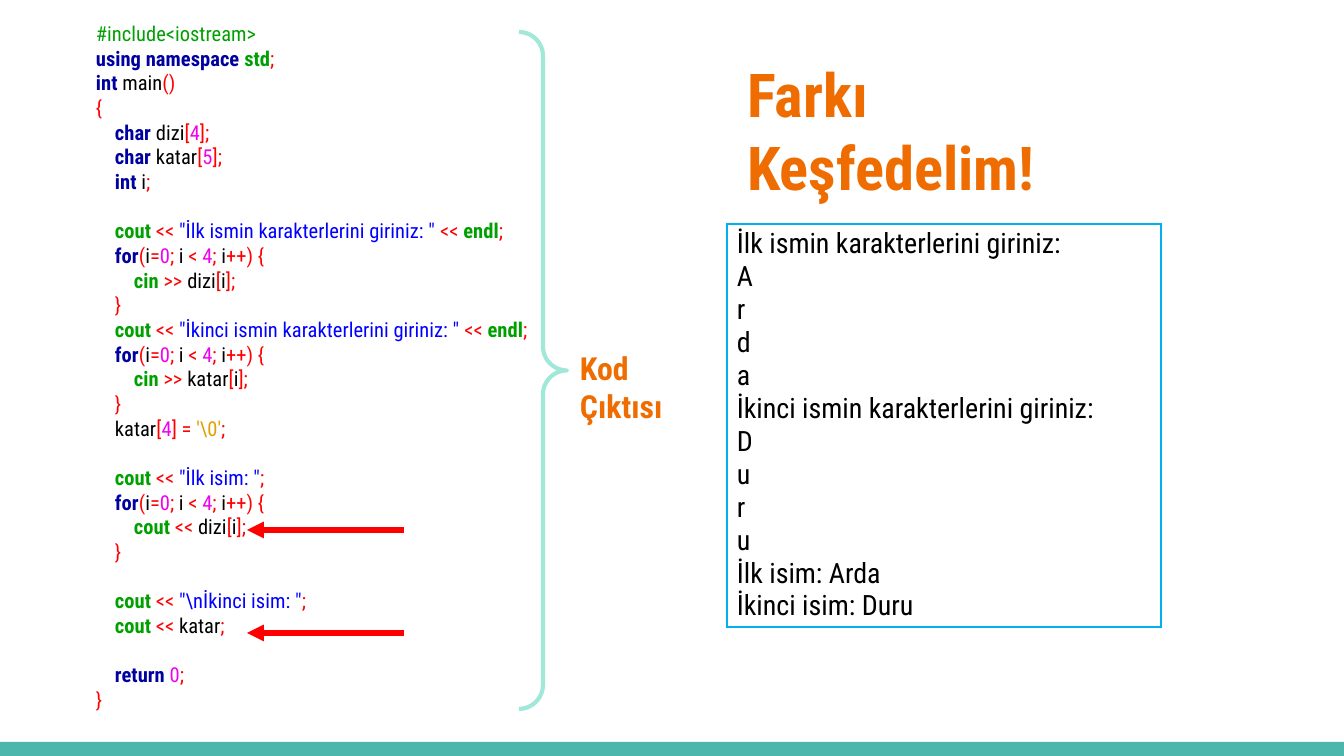
from lxml.etree import SubElement
from pptx import Presentation
from pptx.dml.color import RGBColor
from pptx.enum.shapes import MSO_CONNECTOR as Connector, MSO_SHAPE as Shape
from pptx.enum.text import MSO_ANCHOR as Anchor, MSO_AUTO_SIZE as AutoSize, PP_ALIGN as Align
from pptx.oxml import parse_xml
from pptx.oxml.ns import nsdecls, qn
from pptx.util import Pt

PX = 9144000 / 1344  # EMU per px

THEME = {
    "font": "Roboto Condensed",
    "title_size": 32.4, "label_size": 17, "output_size": 15, "code_size": 11,
    "blank_line": 13.2,
    "orange": "EF6C00", "teal": "4DB6AC", "mint": "A1E8D9",
    "red": "FF0000", "border": "00B0F0", "black": "000000",
}
# Syntax styles: colour, bold
SYNTAX = {
    "K": ("0000A0", True),    # keyword
    "L": ("00A000", True),    # library name
    "D": ("00A000", False),   # directive
    "P": ("FF0000", False),   # punctuation
    "V": ("000000", False),   # variable
    "N": ("F000F0", False),   # number
    "S": ("0000FF", False),   # string
    "C": ("E0A000", False),   # character
}


def px(*lengths):
    return [round(length * PX) for length in lengths]


def add_run(para, text, size, color, bold=False):
    span = para.add_run()
    span.text = text
    span.font.name = THEME["font"]
    span.font.size = Pt(size)
    span.font.bold = bold
    span.font.color.rgb = RGBColor.from_string(color)


deck = Presentation()
deck.slide_width, deck.slide_height = px(1344, 756)
page = deck.slides.add_slide(deck.slide_layouts[5])

# Bottom band
band = page.shapes.add_shape(Shape.RECTANGLE, *px(0, 742, 1344, 14))
band.shadow.inherit = False
band.fill.solid()
band.fill.fore_color.rgb = RGBColor.from_string(THEME["teal"])
band.line.fill.background()

# Title, code and label boxes
title = page.shapes.title
title.left, title.top, title.width, title.height = px(734, 44, 420, 104)
code_box = page.shapes.add_textbox(*px(83, 8, 554, 724))
label = page.shapes.add_textbox(*px(567, 336, 160, 70))
for box in (title, code_box, label):
    frame = box.text_frame
    frame.word_wrap = True
    frame.auto_size = AutoSize.NONE
    frame.vertical_anchor = Anchor.TOP
    (frame.margin_left, frame.margin_top,
     frame.margin_right, frame.margin_bottom) = px(13, 13, 13, 13)
    frame.paragraphs[0].alignment = Align.LEFT
add_run(title.text_frame.paragraphs[0], "Farkı Keşfedelim!",
        THEME["title_size"], THEME["orange"], True)
add_run(label.text_frame.paragraphs[0], "Kod Çıktısı",
        THEME["label_size"], THEME["orange"], True)

# Code lines: indent level, blank lines above, runs as "style:text" split by |
FOR_LINE = (1, 0, "K:for|P:(|V:i|P:=|N:0|P:; |V:i |P:< |N:4|P:; |V:i|P:++) {")
CLOSE_LINE = (1, 0, "P:}")
code_lines = [
    (0, 0, "D:#include<iostream>"),
    (0, 0, "K:using namespace |L:std|P:;"),
    (0, 0, "K:int |V:main|P:()"),
    (0, 0, "P:{"),
    (1, 0, "K:char |V:dizi|P:[|N:4|P:];"),
    (1, 0, "K:char |V:katar|P:[|N:5|P:];"),
    (1, 0, "K:int |V:i|P:;"),
    (1, 1, 'L:cout |P:<< |S:"İlk ismin karakterlerini giriniz: " |P:<< |L:endl|P:;'),
    FOR_LINE,
    (2, 0, "L:cin |P:>> |V:dizi|P:[|V:i|P:];"),
    CLOSE_LINE,
    (1, 0, 'L:cout |P:<< |S:"İkinci ismin karakterlerini giriniz: " |P:<< |L:endl|P:;'),
    FOR_LINE,
    (2, 0, "L:cin |P:>> |V:katar|P:[|V:i|P:];"),
    CLOSE_LINE,
    (1, 0, r"V:katar|P:[|N:4|P:] = |C:'\0'|P:;"),
    (1, 1, 'L:cout |P:<< |S:"İlk isim: "|P:;'),
    FOR_LINE,
    (2, 0, "L:cout |P:<< |V:dizi|P:[|V:i|P:];"),
    CLOSE_LINE,
    (1, 1, r'L:cout |P:<< |S:"\nİkinci isim: "|P:;'),
    (1, 0, "L:cout |P:<< |V:katar|P:;"),
    (1, 1, "K:return |N:0|P:;"),
    (0, 0, "P:}"),
]
frame = code_box.text_frame
for number, (level, blanks, tokens) in enumerate(code_lines):
    para = frame.add_paragraph() if number else frame.paragraphs[0]
    para.space_before = Pt(blanks * THEME["blank_line"])
    para._p.get_or_add_pPr().set("marL", str(px(19 * level)[0]))
    for token in tokens.split("|"):
        style, text = token.split(":", 1)
        add_run(para, text, THEME["code_size"], *SYNTAX[style])

# Program output in a one-cell table
output_lines = ["İlk ismin karakterlerini giriniz:", *"Arda",
                "İkinci ismin karakterlerini giriniz:", *"Duru",
                "İlk isim: Arda", "İkinci isim: Duru"]
output_table = page.shapes.add_table(1, 1, *px(727, 224, 434, 403)).table
output_table.first_row = False
output_table.horz_banding = False
cell = output_table.cell(0, 0)
cell.fill.background()
cell.vertical_anchor = Anchor.MIDDLE
cell.margin_left, cell.margin_top, cell.margin_right, cell.margin_bottom = px(10, 0, 10, 0)
for number, text in enumerate(output_lines):
    para = cell.text_frame.add_paragraph() if number else cell.text_frame.paragraphs[0]
    add_run(para, text, THEME["output_size"], THEME["black"])
for position, side in enumerate(("lnL", "lnR", "lnT", "lnB")):
    cell._tc.get_or_add_tcPr().insert(position, parse_xml(
        f'<a:{side} {nsdecls("a")} w="{Pt(0.75)}"><a:solidFill>'
        f'<a:srgbClr val="{THEME["border"]}"/></a:solidFill></a:{side}>'))

# Arrows to the two printing statements
for y in (530, 633):
    arrow = page.shapes.add_connector(Connector.STRAIGHT, *px(404, y, 247, y))
    arrow.line.color.rgb = RGBColor.from_string(THEME["red"])
    arrow.line.width = Pt(3)
    SubElement(arrow.line._get_or_add_ln(), qn("a:tailEnd"), type="triangle")
    SubElement(arrow._element.spPr, qn("a:effectLst"))

# Brace from the code to its output
brace = page.shapes.add_shape(Shape.RIGHT_BRACE, *px(519, 32, 48, 677))
brace.adjustments[0] = 0.5
brace.adjustments[1] = 0.5
brace.shadow.inherit = False
brace.fill.background()
brace.line.color.rgb = RGBColor.from_string(THEME["mint"])
brace.line.width = Pt(2.25)

deck.save("out.pptx")
